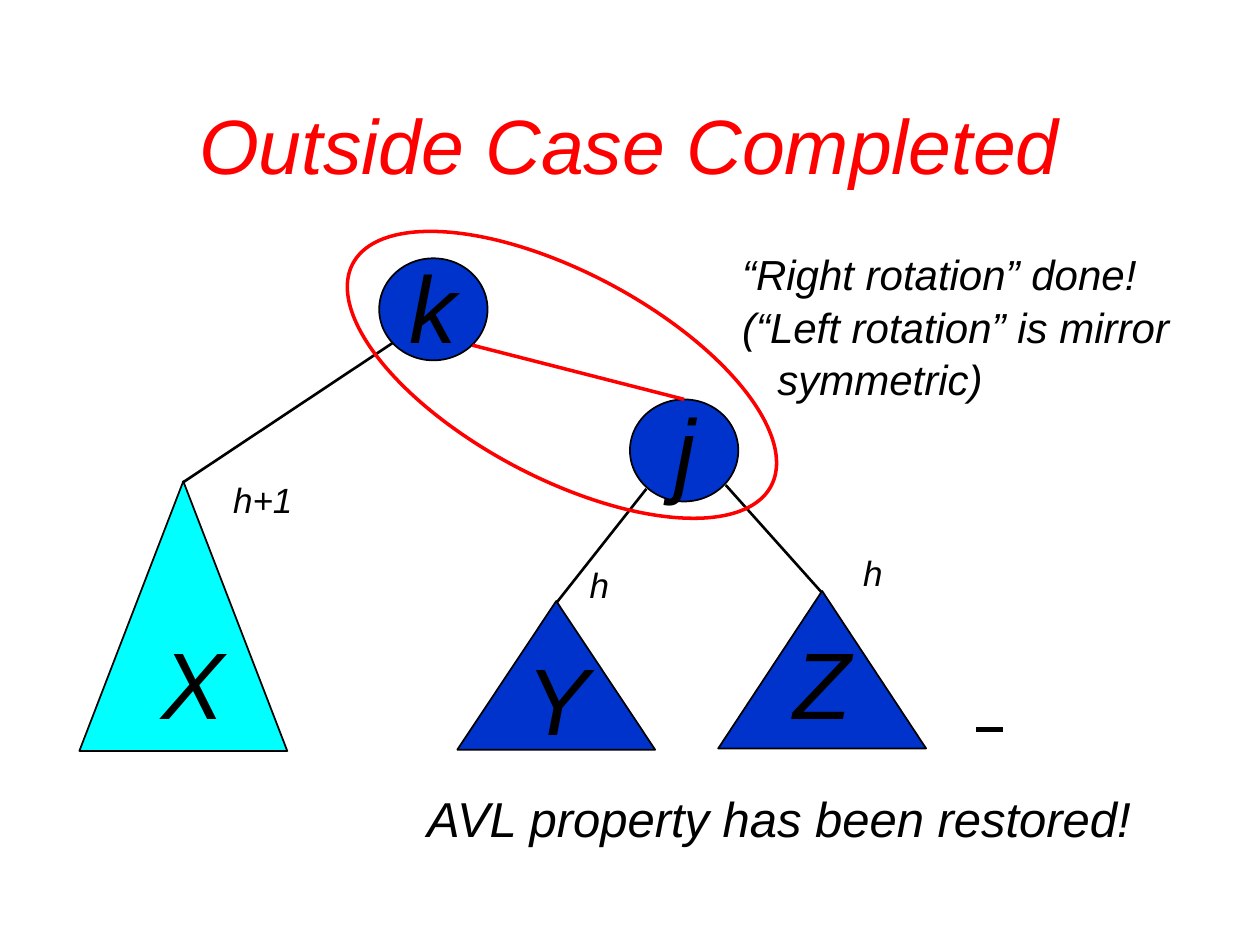
from lxml.etree import SubElement
from pptx import Presentation
from pptx.dml.color import RGBColor
from pptx.enum.shapes import MSO_CONNECTOR, MSO_SHAPE
from pptx.enum.text import MSO_ANCHOR, MSO_AUTO_SIZE, PP_ALIGN
from pptx.oxml.ns import qn
from pptx.util import Inches, Pt

COLORS = {"node": "0033CC", "tall": "00FFFF", "ink": "000000", "accent": "FF0000"}
NODE_SIZE = (0.86, 0.81)
LETTER, CAPTION, HEIGHT_LABEL = 54, 28, 20


def rgb(name):
    return RGBColor.from_string(COLORS[name])


def prepare_frame(frame, wrap):
    frame.word_wrap = wrap
    frame.auto_size = MSO_AUTO_SIZE.NONE
    frame.vertical_anchor = MSO_ANCHOR.TOP
    frame.margin_left = Inches(0.01)
    frame.margin_top = Inches(0.02)
    frame.margin_right = frame.margin_bottom = 0


def add_run(paragraph, text, size, color="ink", underline=None):
    run = paragraph.add_run()
    run.text = text
    font = run.font
    font.name, font.size, font.italic = "Arial", Pt(size), True
    font.underline = underline
    font.color.rgb = rgb(color)


def add_label(slide, text, box, size, wrap=False):
    """Add an italic text box and return its text frame."""
    frame = slide.shapes.add_textbox(*map(Inches, box)).text_frame
    prepare_frame(frame, wrap)
    add_run(frame.paragraphs[0], text, size)
    return frame


def add_title(slide, text):
    title = slide.shapes.title
    title.left, title.top, title.width, title.height = map(
        Inches, (1.57, 0.75, 6.9, 0.76))
    prepare_frame(title.text_frame, False)
    paragraph = title.text_frame.paragraphs[0]
    paragraph.alignment = PP_ALIGN.LEFT
    add_run(paragraph, text, 44, "accent")


def add_outlined(slide, preset, box, fill=None, line="ink", width=1):
    shape = slide.shapes.add_shape(preset, *map(Inches, box))
    shape.shadow.inherit = False
    if fill:
        shape.fill.solid()
        shape.fill.fore_color.rgb = rgb(fill)
    else:
        shape.fill.background()
    shape.line.color.rgb = rgb(line)
    shape.line.width = Pt(width)
    return shape


def add_edge(slide, start, end, color="ink", width=1.5):
    edge = slide.shapes.add_connector(
        MSO_CONNECTOR.STRAIGHT, *map(Inches, (*start, *end)))
    edge.line.color.rgb = rgb(color)
    edge.line.width = Pt(width)
    SubElement(edge._element.spPr, qn("a:effectLst"))


def add_tab_stops(paragraph, positions):
    stops = SubElement(paragraph._p.get_or_add_pPr(), qn("a:tabLst"))
    for position in positions:
        SubElement(stops, qn("a:tab"), pos=str(Inches(position)), algn="l")


def add_rotation_note(slide):
    note = add_label(slide, "“Right rotation” done! (“Left rotation” is mirror",
                     (5.88, 1.93, 3.5, 1.23), 24, wrap=True)
    ending = note.add_paragraph()
    ending._p.get_or_add_pPr().set("marL", str(Inches(0.28)))
    add_run(ending, "symmetric)", 24)
    for paragraph in note.paragraphs:
        paragraph.line_spacing = 1.05


def main():
    presentation = Presentation()
    presentation.slide_width, presentation.slide_height = Inches(10), Inches(7.5)
    slide = presentation.slides.add_slide(presentation.slide_layouts[5])
    add_title(slide, "Outside Case Completed")

    nodes = [("j", (5, 3.17), (5.34, 3.09, 0.19, 0.93)),
             ("k", (3.01, 2.05), (3.24, 1.96, 0.4, 0.93))]
    for letter, corner, letter_box in nodes:
        add_outlined(slide, MSO_SHAPE.OVAL, (*corner, *NODE_SIZE), "node")
        add_label(slide, letter, letter_box, LETTER)

    subtrees = [
        ("X", (0.63, 3.82, 1.65, 2.14), "tall", (1.27, 4.94, 0.53, 0.93)),
        ("Y", (3.63, 4.77, 1.57, 1.18), "node", (4.17, 5.07, 0.53, 0.93)),
        ("Z\t", (5.7, 4.69, 1.65, 1.25), "node", (6.29, 4.94, 3.34, 0.93)),
    ]
    for letter, triangle, fill, letter_box in subtrees:
        add_outlined(slide, MSO_SHAPE.ISOSCELES_TRIANGLE, triangle, fill)
        letter_frame = add_label(slide, letter, letter_box, LETTER)
    underlined = letter_frame.paragraphs[0]
    letter_frame.word_wrap = True
    add_tab_stops(underlined, (1.45, 3.33))
    add_run(underlined, " \t", LETTER, underline=True)

    add_rotation_note(slide)
    for start, end in [((3.12, 2.72), (1.45, 3.83)),
                       ((5.13, 3.88), (4.42, 4.78)),
                       ((5.76, 3.85), (6.52, 4.7))]:
        add_edge(slide, start, end)
    add_label(slide, "AVL property has been restored!",
              (3.38, 6.24, 5.62, 0.49), CAPTION)

    add_edge(slide, (3.75, 2.74), (5.43, 3.17), "accent", 2)
    rotated_pair = add_outlined(slide, MSO_SHAPE.OVAL, (2.58, 2.16, 3.76, 1.63),
                                line="accent", width=2)
    rotated_pair.rotation = 28

    for text, left, top, width in [("h", 6.84, 4.36, 0.18),
                                   ("h+1", 1.84, 3.78, 0.5),
                                   ("h", 4.67, 4.45, 0.18)]:
        add_label(slide, text, (left, top, width, 0.36), HEIGHT_LABEL)

    presentation.save("out.pptx")


if __name__ == "__main__":
    main()
